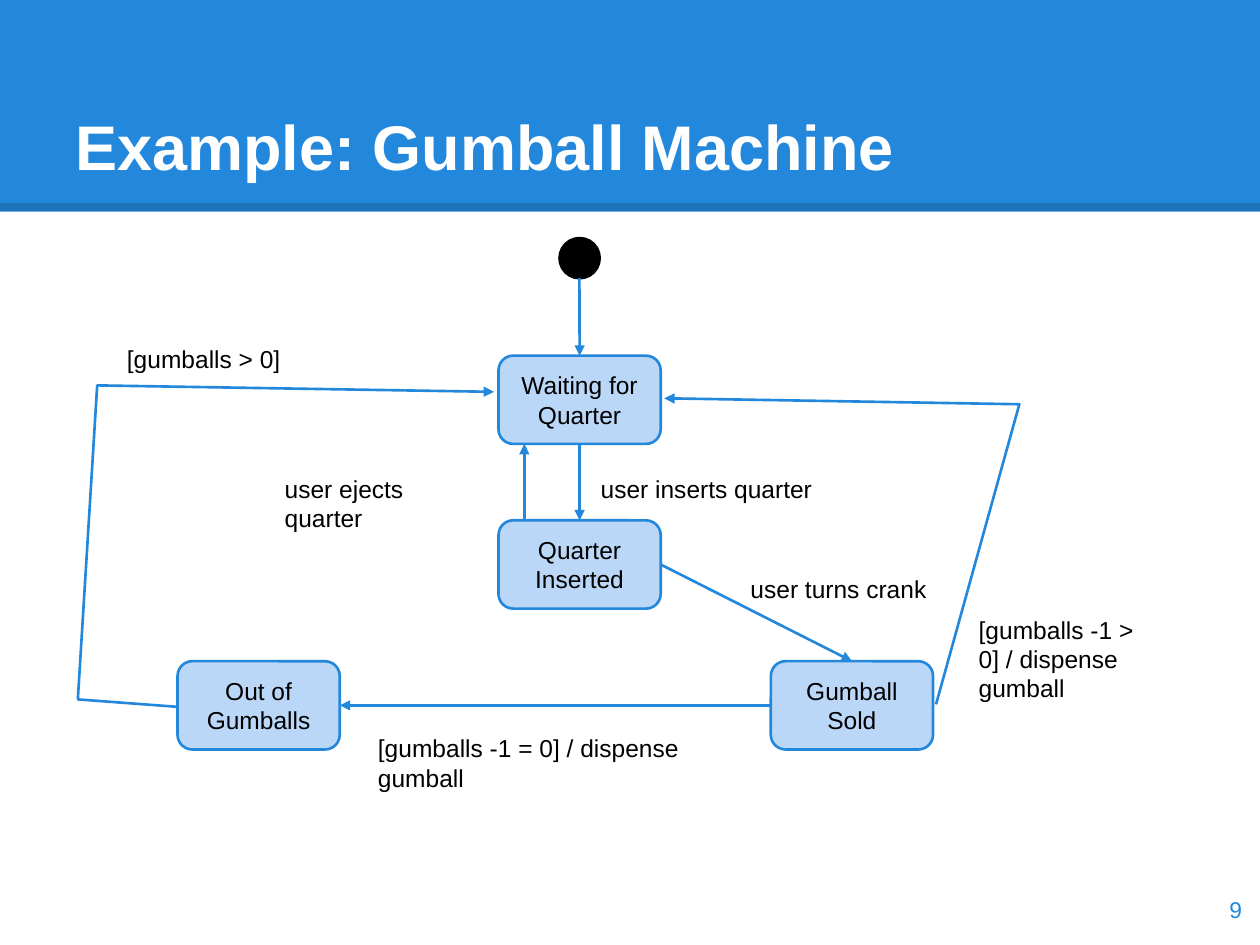
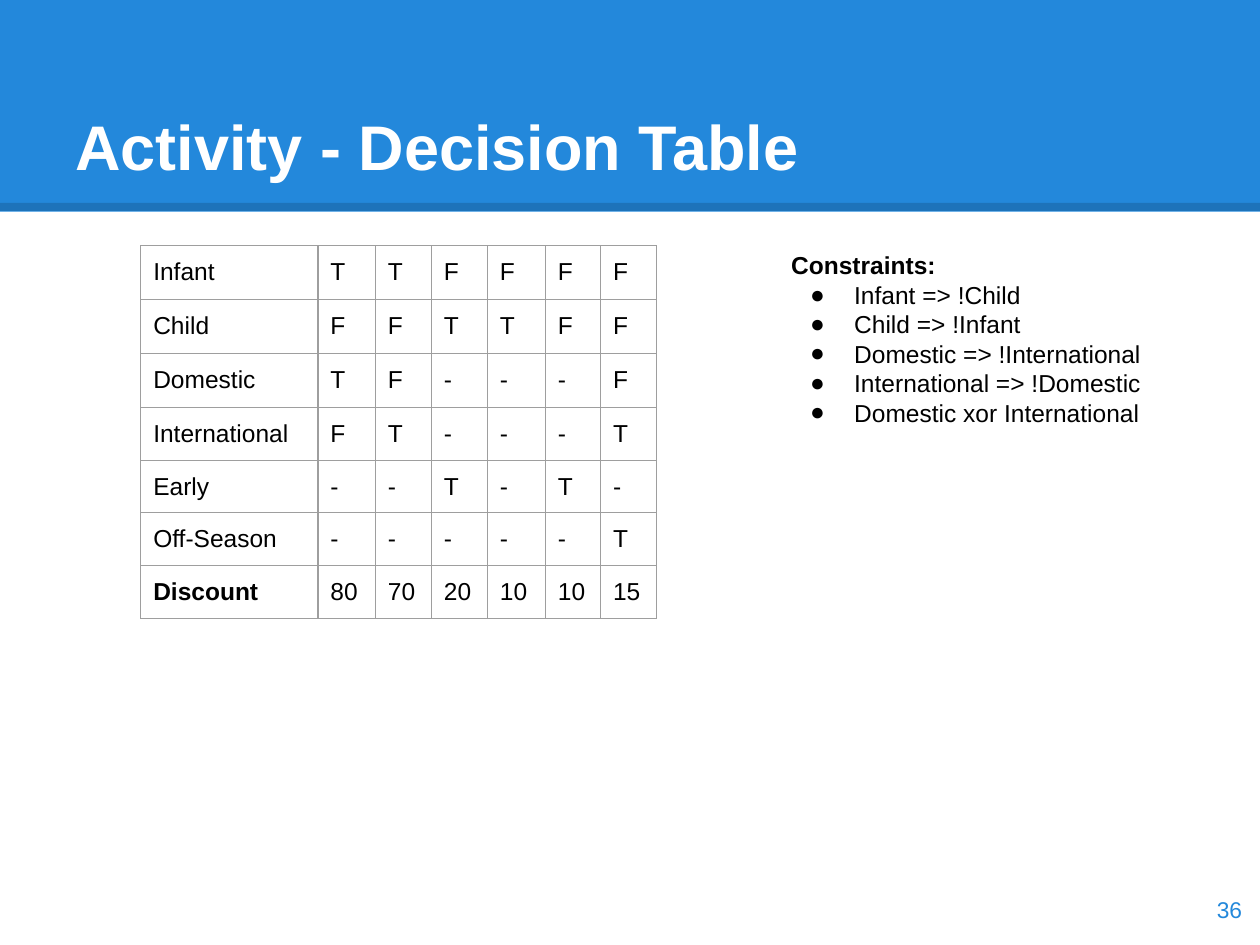
from itertools import product

from pptx import Presentation
from pptx import util as u
from pptx.dml.color import RGBColor
from pptx.enum import shapes, text
from pptx.oxml import ns
from pptx.oxml.xmlchemy import OxmlElement

COLOURS = {
    "blue": "2388DB",
    "pale": "BBD7F8",
    "black": "000000",
    "white": "FFFFFF",
    "grid": "9E9E9E",
}
FONT = "Arial"
INSET = u.Cm(0.25)
STATE_SIZE = (3.27, 1.78)
STATES = {
    "waiting": ("Waiting for Quarter", 8.48, 2.37),
    "inserted": ("Quarter Inserted", 8.48, 5.69),
    "sold": ("Gumball Sold", 13.97, 8.53),
    "out": ("Out of Gumballs", 2.01, 8.53),
}
TOP, LEFT, BOTTOM, RIGHT = range(4)
TRANSITIONS = [
    ("waiting", BOTTOM, "inserted", TOP),
    ("inserted", RIGHT, "sold", TOP),
    ("sold", LEFT, "out", RIGHT),
]
BENT_ARROWS = [
    [(17.3, 9.4), (18.98, 3.35), (11.82, 3.23)],
    [(2.01, 9.45), (0, 9.3), (0.39, 2.97), (8.39, 3.1)],
]
LABELS = [
    ("user inserts quarter", 10.29, 4.5, 7.62),
    ("user ejects quarter", 3.92, 4.5, 4.57),
    ("user turns crank", 13.31, 6.53, 4.57),
    ("[gumballs > 0]", 0.74, 1.88, 5.56),
    ("[gumballs -1 > 0] / dispense gumball", 17.91, 7.34, 4.37),
    ("[gumballs -1 = 0] / dispense gumball", 5.8, 9.73, 7.98),
]
DECISIONS = [
    ("Infant", "T T F F F F"),
    ("Child", "F F T T F F"),
    ("Domestic", "T F - - - F"),
    ("International", "F T - - - T"),
    ("Early", "- - T - T -"),
    ("Off-Season", "- - - - - T"),
    ("Discount", "80 70 20 10 10 15"),
]
COLUMN_WIDTHS = [3.57, 1.16, 1.13, 1.13, 1.17, 1.11, 1.12]
CONSTRAINTS = [
    "Infant => !Child",
    "Child => !Infant",
    "Domestic => !International",
    "International => !Domestic",
    "Domestic xor International",
]


def colour(name):
    """Return the named colour."""
    return RGBColor.from_string(COLOURS[name])


def add_child(parent, tag, **attributes):
    """Append an XML element with attributes and return it."""
    child = OxmlElement(tag)
    for name, value in attributes.items():
        child.set(name, str(value))
    parent.append(child)
    return child


def style_paragraph(para, size=14, shade="black", bold=False, align=None):
    """Set the font and alignment of a paragraph."""
    para.font.name = FONT
    para.font.size = u.Pt(size)
    para.font.bold = bold
    para.font.color.rgb = colour(shade)
    para.alignment = align


def prepare_frame(frame, anchor=text.MSO_ANCHOR.TOP):
    """Give a text frame the common insets, wrapping and anchor."""
    frame.margin_left = frame.margin_right = INSET
    frame.margin_top = frame.margin_bottom = INSET
    frame.word_wrap = True
    frame.auto_size = text.MSO_AUTO_SIZE.NONE
    frame.vertical_anchor = anchor


def add_text(page, words, box, anchor=text.MSO_ANCHOR.TOP, **style):
    """Add a text box with one styled paragraph and return its frame."""
    frame = page.shapes.add_textbox(*map(u.Cm, box)).text_frame
    prepare_frame(frame, anchor)
    frame.text = words
    style_paragraph(frame.paragraphs[0], **style)
    return frame


def add_filled(page, kind, box, fill, outline=None):
    """Add a preset shape with a fill and an optional outline."""
    shape = page.shapes.add_shape(kind, *map(u.Cm, box))
    shape.shadow.inherit = False
    shape.fill.solid()
    shape.fill.fore_color.rgb = colour(fill)
    if outline:
        shape.line.color.rgb = colour(outline)
        shape.line.width = u.Pt(1.5)
    else:
        shape.line.fill.background()
    return shape


def add_line(page, start=(0, 0), end=(0, 0)):
    """Add a straight connector without a shadow."""
    points = map(u.Cm, (*start, *end))
    line = page.shapes.add_connector(shapes.MSO_CONNECTOR.STRAIGHT, *points)
    add_child(line._element.spPr, "a:effectLst")
    return line


def make_arrow(shape):
    """Draw a connector or freeform as a blue arrow."""
    shape.line.color.rgb = colour("blue")
    shape.line.width = u.Pt(1.5)
    outline = shape._element.spPr.find(ns.qn("a:ln"))
    add_child(outline, "a:tailEnd", type="triangle")


def add_header_band(page, box):
    """Draw the header band and move it to the layout for all slides."""
    left, top, width, height = box
    band = add_filled(page, shapes.MSO_SHAPE.RECTANGLE, box, "blue")
    edge = top + height - 0.1
    rule = add_line(page, (left, edge), (left + width, edge))
    rule.line.color.rgb = colour("black")
    rule.line.width = u.Pt(4.5)
    shade = rule._element.xpath(".//a:ln//a:srgbClr")[0]
    add_child(shade, "a:alpha", val=15000)
    for index, part in enumerate((band, rule), 2):
        page.slide_layout.shapes._spTree.insert(index, part._element)


def add_page(deck, heading, number):
    """Add a slide with its title and page number."""
    page = deck.slides.add_slide(deck.slide_layouts[5])
    title = page.shapes.title
    title.left, title.top = u.Cm(1.27), u.Cm(0.76)
    title.width, title.height = u.Cm(22.86), u.Cm(3.18)
    title.text = heading
    prepare_frame(title.text_frame, text.MSO_ANCHOR.BOTTOM)
    style_paragraph(title.text_frame.paragraphs[0], 36, "white", True,
                    text.PP_ALIGN.LEFT)
    add_text(page, str(number), (23.77, 17.6, 1.52, 1.45),
             text.MSO_ANCHOR.MIDDLE, size=13, shade="blue",
             align=text.PP_ALIGN.RIGHT)
    return page


def add_state(page, words, box):
    """Add a rounded state of the machine."""
    state = add_filled(page, shapes.MSO_SHAPE.ROUNDED_RECTANGLE, box,
                       "pale", "blue")
    prepare_frame(state.text_frame, text.MSO_ANCHOR.MIDDLE)
    state.text_frame.text = words
    style_paragraph(state.text_frame.paragraphs[0],
                    align=text.PP_ALIGN.CENTER)
    return state


def add_state_diagram(page, box):
    """Draw the gumball state machine from the corner of its box."""
    left, top = box[:2]

    def at(across, down):
        """Return a point of the diagram on the slide."""
        return left + across, top + down

    states = {
        key: add_state(page, words, (*at(across, down), *STATE_SIZE))
        for key, (words, across, down) in STATES.items()
    }
    add_filled(page, shapes.MSO_SHAPE.OVAL, (*at(9.71, 0), 0.81, 0.81),
               "black", "black")
    entry = add_line(page, at(10.11, 0.81), at(10.11, 2.37))
    entry.end_connect(states["waiting"], TOP)
    make_arrow(entry)
    make_arrow(add_line(page, at(9, 5.69), at(9, 4.15)))
    for source, exit_side, target, entry_side in TRANSITIONS:
        arrow = add_line(page)
        arrow.begin_connect(states[source], exit_side)
        arrow.end_connect(states[target], entry_side)
        make_arrow(arrow)
    for corners in BENT_ARROWS:
        first, *others = [tuple(map(u.Cm, at(*corner))) for corner in corners]
        builder = page.shapes.build_freeform(*first)
        builder.add_line_segments(others, close=False)
        arrow = builder.convert_to_shape()
        arrow.shadow.inherit = False
        arrow.fill.background()
        make_arrow(arrow)
    for words, across, down, width in LABELS:
        add_text(page, words, (*at(across, down), width, 0.81))


def set_borders(cell):
    """Give all four sides of a cell a thin grey border."""
    properties = cell._tc.get_or_add_tcPr()
    for index, side in enumerate(("lnL", "lnR", "lnT", "lnB")):
        border = add_child(properties, f"a:{side}", w=u.Pt(0.75))
        fill = add_child(border, "a:solidFill")
        add_child(fill, "a:srgbClr", val=COLOURS["grid"])
        properties.insert(index, border)


def add_decision_table(page, box):
    """Draw the decision table in its box."""
    size = len(DECISIONS), len(COLUMN_WIDTHS)
    table = page.shapes.add_table(*size, *map(u.Cm, box)).table
    table.first_row = table.horz_banding = False
    for column, width in zip(table.columns, COLUMN_WIDTHS):
        column.width = u.Cm(width)
    for index, row in enumerate(table.rows):
        row.height = u.Cm(1.09 if index < 3 else 1.06)
    for row, column in product(*map(range, size)):
        name, outcomes = DECISIONS[row]
        cell = table.cell(row, column)
        cell.text = [name, *outcomes.split()][column]
        cell.margin_left = cell.margin_right = INSET
        cell.margin_top = cell.margin_bottom = INSET
        cell.fill.background()
        set_borders(cell)
        style_paragraph(cell.text_frame.paragraphs[0],
                        bold=cell.text == "Discount")


def add_constraints(page, box):
    """Write the bulleted constraints in their box."""
    frame = add_text(page, "Constraints:", box, bold=True)
    for constraint in CONSTRAINTS:
        para = frame.add_paragraph()
        para.text = constraint
        properties = para._p.get_or_add_pPr()
        properties.set("marL", str(u.Cm(1.27)))
        properties.set("indent", str(u.Cm(-0.89)))
        bullet_colour = add_child(properties, "a:buClr")
        add_child(bullet_colour, "a:srgbClr", val=COLOURS["black"])
        add_child(properties, "a:buFont", typeface=FONT)
        add_child(properties, "a:buChar", char="●")
        style_paragraph(para)


def main():
    """Build both slides and save the deck."""
    deck = Presentation()
    deck.slide_width, deck.slide_height = u.Cm(25.4), u.Cm(19.05)
    machine = add_page(deck, "Example: Gumball Machine", 9)
    add_header_band(machine, (0, 0, 25.4, 4.27))
    add_state_diagram(machine, (1.57, 4.8, 22.28, 11.2))
    activity = add_page(deck, "Activity - Decision Table", 36)
    add_decision_table(activity, (2.84, 4.95, sum(COLUMN_WIDTHS), 7.51))
    add_constraints(activity, (15.7, 4.8, 7.82, 3.33))
    deck.save("out.pptx")


if __name__ == "__main__":
    main()
